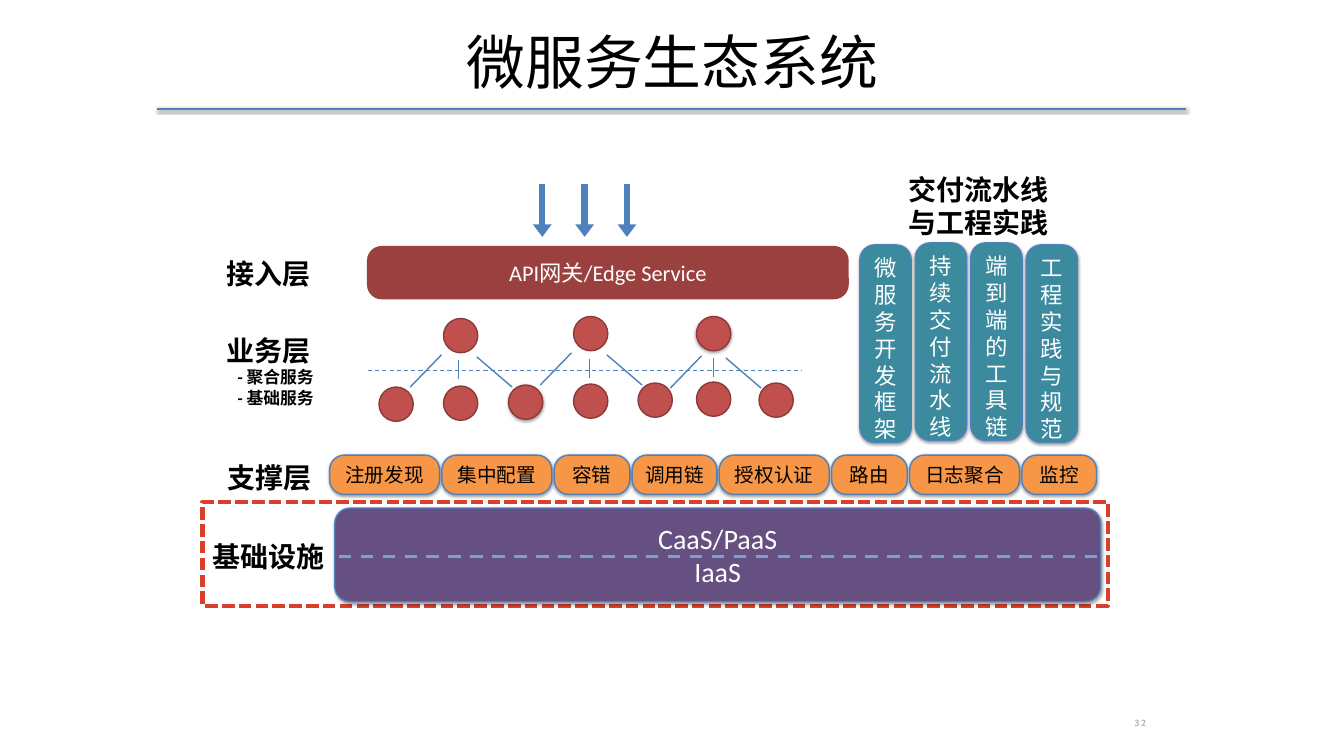
import pptx
import pptx.util
import pptx.dml.color
import pptx.enum.dml
import pptx.enum.shapes
import pptx.enum.text
import pptx.oxml
import pptx.oxml.ns

CELL = 0.1
WIDE, HIGH = 133.33, 75
HUE = {
    "black": "000000", "white": "FFFFFF", "blue": "4F81BD", "pale": "7BA1CE",
    "red": "D93F2A", "wine": "9A403E", "rose": "C0504D", "rim": "8C3A38",
    "teal": "3C8A9E", "gold": "F79646", "plum": "665082", "grey": "929396",
}

TITLE = (45.7, 2.1, 42, 6.8, ["微服务生态系统"], 42, False)
LABELS = [
    (21.9, 25, 9.5, 3.8, ["接入层"], 20, True),
    (21.3, 32.6, 10.6, 7.9, ["业务层", "- 聚合服务", "- 基础服务"], 20, True),
    (22, 45.2, 9.5, 3.8, ["支撑层"], 20, True),
    (20.5, 53, 12.3, 3.8, ["基础设施"], 20, True),
    (89.2, 16.6, 15.7, 6.8, ["交付流水线", "与工程实践"], 20, True),
]
PILLARS = [
    (24.3, ["微", "服", "务", "开发框架"]),
    (24.1, ["持续交", "付流水线"]),
    (24.1, ["端", "到端的工具链"]),
    (24.3, ["工程实践与规范"]),
]
CHIPS = [
    ("注册发现", 10.9), ("集中配置", 10.9), ("容错", 7.5), ("调用链", 8.4),
    ("授权认证", 10.9), ("路由", 7.5), ("日志聚合", 10.9), ("监控", 7.4),
]
NODES = [
    (44, 31.6, False), (56.9, 31.4, False), (69.1, 31.4, True),
    (37.6, 38.4, False), (44, 38.3, False), (50.45, 38.2, True),
    (56.9, 38.1, False), (63.3, 38, False), (69.1, 37.9, False), (75.3, 38, False),
]
SPANS = [(-3.1, 3.2), (0, 1.9), (3.5, 3)]
FANS = [
    [(43.8, 35.2), (45.5, 35.7), (47.3, 35.4)],
    [(56.7, 35), (58.5, 35.6), (60.2, 35.2)],
    [(69.6, 35.3), (70.8, 35.5), (72, 35.5)],
]

deck = pptx.Presentation()


def unit(n):
    return pptx.util.Inches(n * CELL)


def tint(name):
    return pptx.dml.color.RGBColor.from_string(HUE[name])


def effect(item, shade):
    xml = f'<a:effectLst {pptx.oxml.ns.nsdecls("a")}>'
    if shade:
        xml += ('<a:outerShdw blurRad="25400" dist="12700" dir="5400000" rotWithShape="0">'
                f'<a:srgbClr val="000000"><a:alpha val="{shade}000"/></a:srgbClr></a:outerShdw>')
    item._element.spPr.append(pptx.oxml.parse_xml(xml + "</a:effectLst>"))


def write(item, lines, size, hue, bold=False, wrap=True, anchor="MIDDLE"):
    frame = item.text_frame
    frame.word_wrap = wrap
    frame.vertical_anchor = getattr(pptx.enum.text.MSO_ANCHOR, anchor)
    frame.margin_left = frame.margin_right = unit(0.5)
    frame.margin_top = frame.margin_bottom = unit(0.5)
    frame.text = "\n".join(lines)
    for para in frame.paragraphs:
        sub = para.text.startswith("- ")
        para.alignment = pptx.enum.text.PP_ALIGN.CENTER
        if sub:
            para._p.get_or_add_pPr().set("marL", str(unit(1.5)))
        para.font.name = "Calibri"
        para.font.size = pptx.util.Pt(12 if sub else size)
        para.font.bold = bold
        para.font.color.rgb = tint(hue)


def label(x, y, w, h, lines, size, bold):
    box = slide.shapes.add_textbox(unit(x), unit(y), unit(w), unit(h))
    write(box, lines, size, "black", bold, False, "TOP")
    return box


def block(kind, x, y, w, h, fill, edge=None, width=1, shade=0, adj=None):
    kind = getattr(pptx.enum.shapes.MSO_SHAPE, kind)
    item = slide.shapes.add_shape(kind, unit(x), unit(y), unit(w), unit(h))
    item.fill.solid()
    item.fill.fore_color.rgb = tint(fill)
    if edge:
        item.line.color.rgb = tint(edge)
        item.line.width = pptx.util.Pt(width)
    else:
        item.line.fill.background()
    if adj:
        item.adjustments[0] = adj
    effect(item, shade)
    return item


def rule(x, y, dx, dy, width, hue="blue", dash=None, head=False, shade=0):
    item = slide.shapes.add_connector(
        pptx.enum.shapes.MSO_CONNECTOR.STRAIGHT,
        unit(x), unit(y), unit(x + dx), unit(y + dy))
    item.line.color.rgb = tint(hue)
    item.line.width = pptx.util.Pt(width)
    if dash:
        item.line.dash_style = getattr(pptx.enum.dml.MSO_LINE, dash)
    if head:
        tip = f'<a:tailEnd {pptx.oxml.ns.nsdecls("a")} type="triangle" w="med" len="sm"/>'
        item.line._get_or_add_ln().append(pptx.oxml.parse_xml(tip))
    effect(item, shade)


deck.slide_width, deck.slide_height = unit(WIDE), unit(HIGH)
slide = deck.slides.add_slide(deck.slide_layouts[6])

label(*TITLE)
rule(15.6, 10.8, 102.1, 0, 1.5, shade=38)

frame = block("RECTANGLE", 20.1, 49.8, 89.8, 10.3, "white", "red", 3)
frame.line.dash_style = pptx.enum.dml.MSO_LINE.SQUARE_DOT

gate = block("ROUNDED_RECTANGLE", 36.4, 24.4, 47.8, 5.3, "wine", adj=0.276)
write(gate, ["API网关/Edge Service"], 16, "white")
for i in range(3):
    rule(53.8 + 4.2 * i, 18.3, 0, 5.2, 4.5, head=True)

for x, y, dark in NODES:
    block("OVAL", x, y, 3.4, 3.4, "rose", "rim", shade=35 if dark else 0)
for fan in FANS:
    for (x, y), (dx, dy) in zip(fan, SPANS):
        rule(x, y, dx, dy, 1)
rule(36.5, 36.8, 43.1, 0, 0.75, dash="DASH")

for text in LABELS:
    label(*text)

base = block("ROUNDED_RECTANGLE", 33.2, 50.4, 76, 9.3, "plum", "blue", shade=35, adj=0.166)
write(base, ["CaaS/PaaS", "IaaS"], 20, "white")
rule(33.6, 55.2, 75.2, 0, 2.25, "pale", "DASH")

for i, (y, lines) in enumerate(PILLARS):
    post = block("ROUNDED_RECTANGLE", 85.3 + 5.5 * i, y, 5.1, 19.6, "teal", "blue",
                 shade=35, adj=0.29)
    write(post, lines, 16, "white", anchor="TOP")

x = 32.7
for name, w in CHIPS:
    chip = block("ROUNDED_RECTANGLE", x, 45.15, w, 3.9, "gold", "blue", shade=35, adj=0.375)
    write(chip, [name], 14, "black")
    x += w + 0.24

page = label(111, 71.2, 2.7, 1.4, ["32"], 6, False)
page.text_frame.margin_left = page.text_frame.margin_right = 0
page.text_frame.margin_top = page.text_frame.margin_bottom = 0
mark = page.text_frame.paragraphs[0]
mark.alignment = pptx.enum.text.PP_ALIGN.RIGHT
mark.font.name = "DejaVu Sans Mono"
mark.font.color.rgb = tint("grey")
mark.runs[0]._r.get_or_add_rPr().set("spc", "110")

deck.save("out.pptx")
